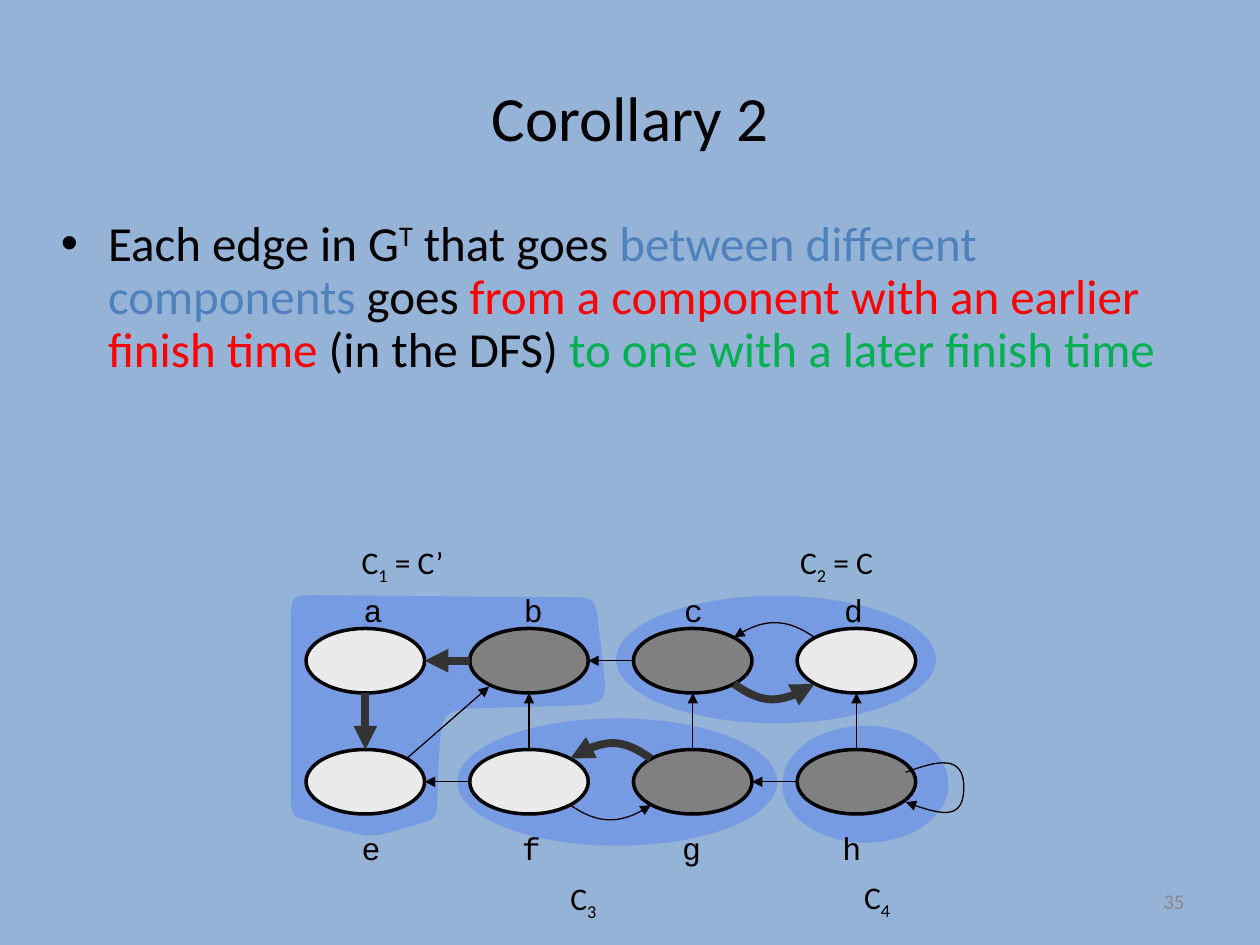
"""Build the Corollary 2 slide with its component graph."""
from math import dist
from lxml import etree
from pptx import Presentation
from pptx.dml.color import RGBColor
from pptx.enum.shapes import MSO_CONNECTOR, MSO_SHAPE
from pptx.enum.text import MSO_ANCHOR, MSO_AUTO_SIZE, PP_ALIGN
from pptx.oxml.ns import qn
from pptx.util import Cm, Pt

STRAIGHT = MSO_CONNECTOR.STRAIGHT
OVAL = MSO_SHAPE.OVAL
MIDDLE = MSO_ANCHOR.MIDDLE
FIT_SHAPE = MSO_AUTO_SIZE.SHAPE_TO_FIT_TEXT
CENTER = PP_ALIGN.CENTER
RIGHT = PP_ALIGN.RIGHT

BLACK, DARK, LIGHT, GRAY = "000000", "333333", "EAEAEA", "808080"
BLUE, RED, GREEN = "4F81BD", "FF0000", "00B050"
REGION_BLUE = "3366FF"
THIN, THICK = (BLACK, 0.75), (DARK, 4.5)

NODE_WIDTH, NODE_HEIGHT = 2.39, 1.3
NODE_LEFTS = [6.17 + 3.3 * column for column in range(4)]
NODE_TOPS = [12.67, 15.11]
TOP_ROW, BOTTOM_ROW = 0, 1
ABOVE, BELOW = -1, 1
LEFTWARD, RIGHTWARD = -1, 1


def add_runs(paragraph, runs, size, font="Calibri"):
    """Append (text, colour, baseline) runs to a paragraph."""
    for text, color, baseline in runs:
        run = paragraph.add_run()
        run.text = text
        run.font.size = Pt(size)
        run.font.name = font
        run.font.color.rgb = RGBColor.from_string(color)
        if baseline:
            run.font._element.set("baseline", str(baseline * 1000))


def add_curve(shapes, points, closed=False):
    """Draw Bezier curves through a start point and triples of points in cm."""
    start, *rest = [(round(100 * x), round(100 * y)) for x, y in points]
    builder = shapes.build_freeform(*start, scale=Cm(0.01))
    builder.add_line_segments(rest, close=closed)
    curve = builder.convert_to_shape()
    segments = list(curve._element.iter(qn("a:lnTo")))
    for first in range(0, len(segments), 3):
        bezier = etree.Element(qn("a:cubicBezTo"))
        segments[first].addprevious(bezier)
        for segment in segments[first:first + 3]:
            bezier.append(segment[0])
            segment.getparent().remove(segment)
    return curve


presentation = Presentation()
presentation.slide_width = Cm(25.4)
presentation.slide_height = Cm(19.05)
slide = presentation.slides.add_slide(presentation.slide_layouts[5])
slide.background.fill.solid()
slide.background.fill.fore_color.rgb = RGBColor.from_string("95B3D7")
shapes = slide.shapes

title = shapes.title
title.left, title.top, title.width, title.height = Cm(1.27), Cm(0.76), Cm(22.86), Cm(3.18)
title.text_frame.vertical_anchor = MIDDLE
title_paragraph = title.text_frame.paragraphs[0]
title_paragraph.alignment = CENTER
add_runs(title_paragraph, [("Corollary 2", BLACK, 0)], 36)

body = shapes.add_textbox(Cm(0.98), Cm(4.29), Cm(22.86), Cm(6.32))
body.text_frame.word_wrap = True
statement = body.text_frame.paragraphs[0]
statement.line_spacing = 0.9
statement.space_before = Pt(5.6)
bullet_properties = statement._p.get_or_add_pPr()
bullet_properties.set("marL", str(Cm(0.95)))
bullet_properties.set("indent", str(-Cm(0.95)))
etree.SubElement(bullet_properties, qn("a:buFont"), typeface="Arial")
etree.SubElement(bullet_properties, qn("a:buChar"), char="•")
add_runs(statement, [
    ("Each edge in G", BLACK, 0),
    ("T", BLACK, 30),
    (" that goes ", BLACK, 0),
    ("between different components", BLUE, 0),
    (" goes ", BLACK, 0),
    ("from a component with an earlier finish time", RED, 0),
    (" (in the DFS) ", BLACK, 0),
    ("to one with a later finish time", GREEN, 0),
], 28)

region_corners = [
    (5.87, 12, 0.5), (12, 12.04, 0.6), (12.25, 14.2, 0.9), (8.9, 14.3, 1),
    (8.8, 16.5, 0.4), (7.5, 16.9, 0.8), (5.87, 16.45, 0.4),
]
outline = []
for index, (x, y, radius) in enumerate(region_corners):
    corner = (x, y)
    rounding = []
    for neighbor_index in (index - 1, (index + 1) % len(region_corners)):
        neighbor = region_corners[neighbor_index][:2]
        share = radius / dist(corner, neighbor)
        rounding.append((x + share * (neighbor[0] - x), y + share * (neighbor[1] - y)))
    arrival, departure = rounding
    if outline:
        outline += [outline[-1], arrival, arrival]
    else:
        outline.append(arrival)
    outline += [corner, corner, departure]

regions = [add_curve(shapes, outline, closed=True)]
for left, top, width, height in [
    (15.77, 14.63, 3.35, 2.36), (12.42, 12.01, 6.45, 2.57), (9.22, 14.48, 6.45, 2.57),
]:
    regions.append(shapes.add_shape(OVAL, Cm(left), Cm(top), Cm(width), Cm(height)))
for region in regions:
    region.shadow.inherit = False
    region.line.fill.background()
    region.fill.solid()
    region.fill.fore_color.rgb = RGBColor.from_string(REGION_BLUE)
    color_element = region._element.spPr.find(qn("a:solidFill"))[0]
    etree.SubElement(color_element, qn("a:alpha"), val="30000")

row_fills = [[LIGHT, GRAY, GRAY, LIGHT], [LIGHT, LIGHT, GRAY, GRAY]]
for top, fills in zip(NODE_TOPS, row_fills):
    for left, fill in zip(NODE_LEFTS, fills):
        node = shapes.add_shape(OVAL, Cm(left), Cm(top), Cm(NODE_WIDTH), Cm(NODE_HEIGHT))
        node.shadow.inherit = False
        node.fill.solid()
        node.fill.fore_color.rgb = RGBColor.from_string(fill)
        node.line.color.rgb = RGBColor.from_string(BLACK)
        node.line.width = Pt(2)

labels = []
for left, top, width, number, rest in [
    (7.04, 10.82, 2.51, "1", " = C’"), (15.88, 10.82, 2.39, "2", " = C"),
    (11.25, 17.6, 1.19, "3", ""), (17.17, 17.58, 1.19, "4", ""),
]:
    runs = [("C", BLACK, 0), (number, BLACK, -25)]
    if rest:
        runs.append((rest, BLACK, 0))
    labels.append((left, top, width, runs, "Calibri"))
for left, top, letters in [(7.08, 11.79, "abcd"), (7.04, 16.59, "efgh")]:
    for column, letter in enumerate(letters):
        labels.append((left + 3.23 * column, top, 0.79, [(letter, BLACK, 0)], "Courier New"))
for left, top, width, runs, font in labels:
    label = shapes.add_textbox(Cm(left), Cm(top), Cm(width), Cm(1.02))
    label.text_frame.word_wrap = False
    label.text_frame.auto_size = FIT_SHAPE
    add_runs(label.text_frame.paragraphs[0], runs, 18, font)

row_middles = [top + NODE_HEIGHT / 2 for top in NODE_TOPS]
column_middles = [left + NODE_WIDTH / 2 for left in NODE_LEFTS]
upper_bottom, lower_top = NODE_TOPS[0] + NODE_HEIGHT, NODE_TOPS[1]

straight_edges = [(8.2, 15.29, 9.86, 13.84, THIN)]
for row, target, style in [
    (TOP_ROW, 0, THICK), (TOP_ROW, 1, THIN), (BOTTOM_ROW, 0, THIN), (BOTTOM_ROW, 2, THIN),
]:
    y = row_middles[row]
    straight_edges.append((NODE_LEFTS[target + 1], y, NODE_LEFTS[target] + NODE_WIDTH, y, style))
for column, x in enumerate(column_middles):
    if column == 0:
        straight_edges.append((x, upper_bottom, x, lower_top, THICK))
    else:
        straight_edges.append((x, lower_top, x, upper_bottom, THIN))

arrows = []
for begin_x, begin_y, end_x, end_y, style in straight_edges:
    edge = shapes.add_connector(STRAIGHT, Cm(begin_x), Cm(begin_y), Cm(end_x), Cm(end_y))
    arrows.append((edge, style))

half_span, arc_offset, arc_bulge = 0.81, 0.47, 0.38
for row, column, side, direction, style in [
    (BOTTOM_ROW, 1, ABOVE, LEFTWARD, THICK),
    (TOP_ROW, 2, ABOVE, LEFTWARD, THIN),
    (TOP_ROW, 2, BELOW, RIGHTWARD, THICK),
    (BOTTOM_ROW, 1, BELOW, RIGHTWARD, THIN),
]:
    gap_middle = (column_middles[column] + column_middles[column + 1]) / 2
    reach = direction * half_span
    end_y = row_middles[row] + side * arc_offset
    bend_y = end_y + side * arc_bulge
    arc = add_curve(shapes, [
        (gap_middle - reach, end_y), (gap_middle - reach / 3, bend_y),
        (gap_middle + reach / 3, bend_y), (gap_middle + reach, end_y),
    ])
    arrows.append((arc, style))

loop_x, loop_y = 18.26, 15.87
upper_half = [(0, -0.3), (0.66, -0.55), (1.17, -0.65)]
lower_half = [(dx, -dy) for dx, dy in reversed(upper_half)]
loop_offsets = upper_half + [(1.17, 0)] + lower_half
self_loop = add_curve(shapes, [(loop_x + dx, loop_y + dy) for dx, dy in loop_offsets])
arrows.append((self_loop, THIN))

for arrow, (color, width) in arrows:
    arrow.line.color.rgb = RGBColor.from_string(color)
    arrow.line.width = Pt(width)
    properties = arrow._element.spPr
    etree.SubElement(properties.find(qn("a:ln")), qn("a:tailEnd"), type="triangle")
    etree.SubElement(properties, qn("a:effectLst"))
    if arrow.shape_type != STRAIGHT and hasattr(arrow, "fill"):
        arrow.fill.background()

slide_number = shapes.add_textbox(Cm(18.2), Cm(17.66), Cm(5.93), Cm(1.01))
slide_number.text_frame.word_wrap = True
slide_number.text_frame.vertical_anchor = MIDDLE
number_paragraph = slide_number.text_frame.paragraphs[0]
number_paragraph.alignment = RIGHT
add_runs(number_paragraph, [("35", "898989", 0)], 12)

presentation.save("out.pptx")
